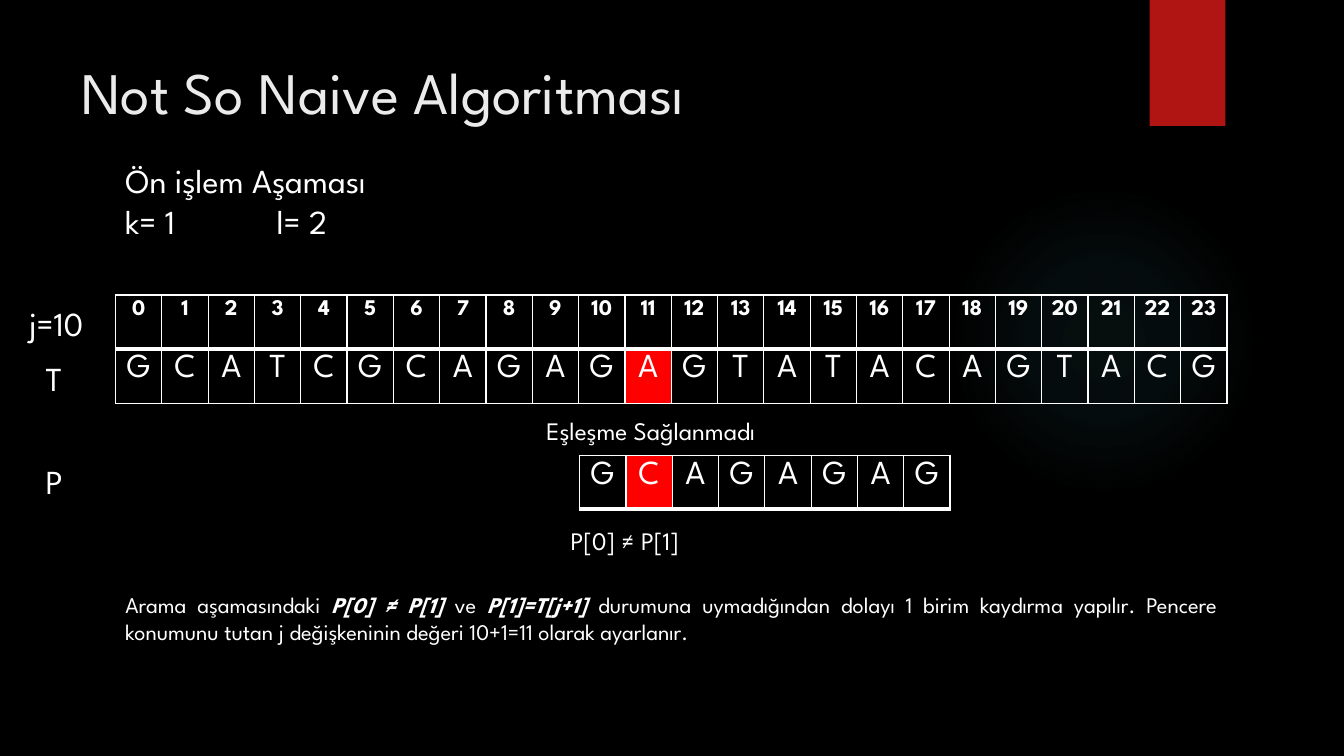
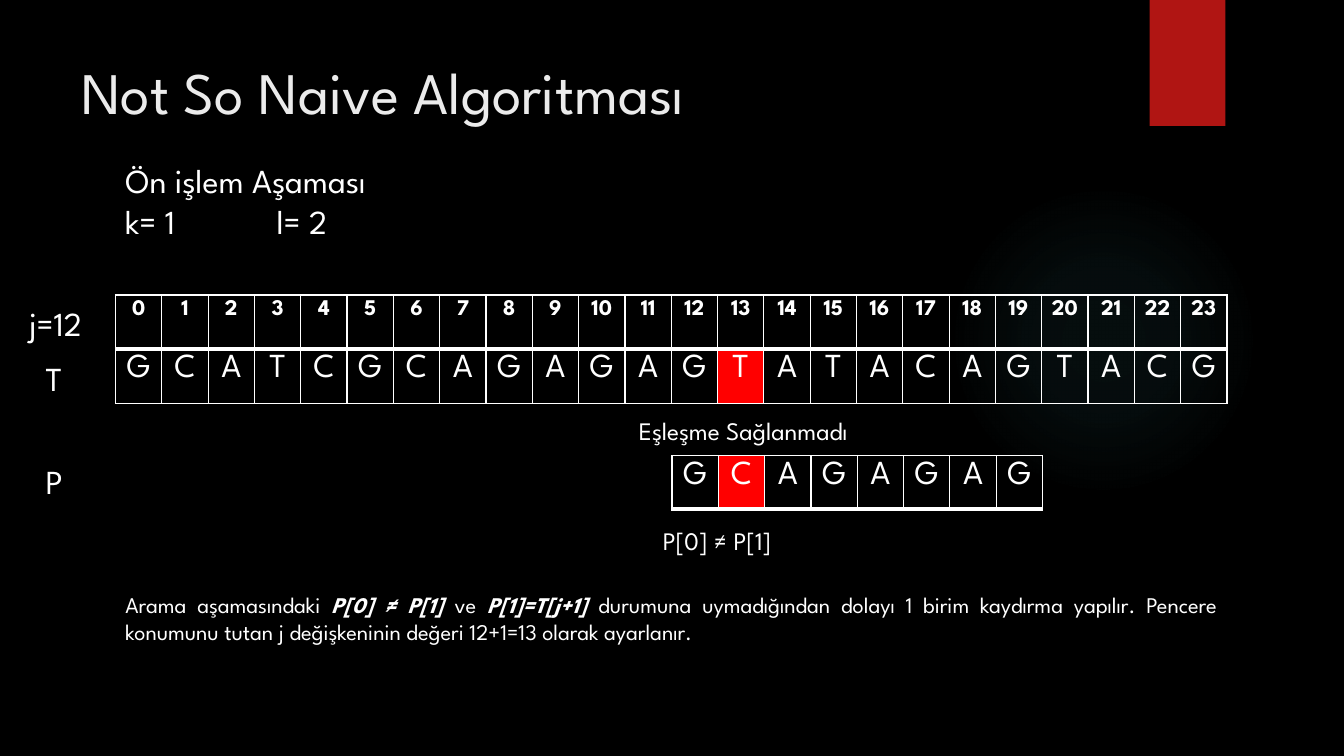
from dataclasses import dataclass

from lxml.etree import SubElement
from pptx import Presentation
from pptx.dml.color import RGBColor
from pptx.enum.shapes import MSO_SHAPE
from pptx.enum.text import PP_ALIGN
from pptx.oxml import parse_xml
from pptx.oxml.ns import nsdecls, qn
from pptx.util import Emu, Pt


@dataclass(frozen=True)
class Theme:
    font: str = "League Spartan"
    background: str = "000000"
    text: str = "FFFFFF"
    title: str = "EBEBEB"
    accent: str = "B01513"
    glow: str = "50B9C1"
    mismatch: str = "FF0000"
    title_size: int = 42
    large: int = 24
    medium: int = 18
    small: int = 16
    thin: int = 1
    thick: int = 3


THEME = Theme()
EMU_PER_PX = 9525
SLIDE_WIDTH, SLIDE_HEIGHT = 1280, 720

TEXT = "GCATCGCAGAGAGTATACAGTACG"
PATTERN = "GCAGAGAG"
TEXT_BOX = (110, 281, 1059, 103)
PATTERN_TOP, PATTERN_HEIGHT = 434, 51
MISMATCH_INDEX = 1


def px(length):
    return Emu(round(length * EMU_PER_PX))


def color(value):
    return RGBColor.from_string(value)


def style_font(paragraph, size, text_color=THEME.text, bold=False):
    font = paragraph.font
    font.name = THEME.font
    font.size = Pt(size)
    font.bold = bold
    font.color.rgb = color(text_color)


def add_text(slide, box, lines, size, text_color=THEME.text):
    """Add a text box; each line is a string or a list of (text, emphasis)."""
    shape = slide.shapes.add_textbox(*map(px, box))
    frame = shape.text_frame
    frame.word_wrap = True
    for index, line in enumerate(lines):
        paragraph = frame.paragraphs[0] if index == 0 else frame.add_paragraph()
        style_font(paragraph, size, text_color)
        pieces = [(line, False)] if isinstance(line, str) else line
        for text, emphasis in pieces:
            run = paragraph.add_run()
            run.text = text
            if emphasis:
                run.font.bold = run.font.italic = True
    return frame.paragraphs


def add_tab_stop(paragraph, position):
    properties = paragraph._p.get_or_add_pPr()
    stops = parse_xml(
        f'<a:tabLst {nsdecls("a")}><a:tab pos="{px(position)}" algn="l"/></a:tabLst>')
    properties.insert(0, stops)


# Slide furniture
def add_glow(slide, box):
    shape = slide.shapes.add_shape(MSO_SHAPE.OVAL, *map(px, box))
    shape.shadow.inherit = False
    shape.line.fill.background()
    stops = "".join(
        f'<a:gs pos="{position * 1000}"><a:srgbClr val="{THEME.glow}">'
        f'<a:alpha val="{alpha * 1000}"/></a:srgbClr></a:gs>'
        for position, alpha in ((0, 7), (36, 6), (69, 0), (100, 0)))
    gradient = parse_xml(
        f'<a:gradFill {nsdecls("a")}><a:gsLst>{stops}</a:gsLst><a:path path="circle">'
        '<a:fillToRect l="50000" t="50000" r="50000" b="50000"/></a:path></a:gradFill>')
    shape._element.spPr.find(qn("a:prstGeom")).addnext(gradient)


def add_ribbon(slide, box):
    shape = slide.shapes.add_shape(MSO_SHAPE.RECTANGLE, *map(px, box))
    shape.shadow.inherit = False
    shape.fill.solid()
    shape.fill.fore_color.rgb = color(THEME.accent)
    shape.line.fill.background()


def add_frame(slide, title):
    fill = slide.background.fill
    fill.solid()
    fill.fore_color.rgb = color(THEME.background)
    add_glow(slide, (903, 176, 296, 296))
    add_ribbon(slide, (1095, 0, 72, 120))
    add_text(slide, (68, 48, 988, 147), [title], THEME.title_size, THEME.title)


# Character tables
def set_borders(cell, bottom):
    properties = cell._tc.get_or_add_tcPr()
    widths = {"lnL": THEME.thin, "lnR": THEME.thin, "lnT": THEME.thin, "lnB": bottom}
    for position, (tag, width) in enumerate(widths.items()):
        line = parse_xml(
            f'<a:{tag} {nsdecls("a")} w="{Pt(width)}"><a:solidFill/></a:{tag}>')
        SubElement(line[0], qn("a:srgbClr"), val=THEME.text)
        properties.insert(position, line)


def add_character_table(slide, box, rows, highlight):
    """Rows are (values, size, bold, bottom border); highlight is (row, column)."""
    left, top, width, height = map(px, box)
    column_count = len(rows[0][0])
    table = slide.shapes.add_table(
        len(rows), column_count, left, top, width, height).table
    table.first_row = table.horz_banding = False
    for column in table.columns:
        column.width = Emu(width // column_count)
    for row_index, (values, size, bold, bottom) in enumerate(rows):
        for column_index, value in enumerate(values):
            cell = table.cell(row_index, column_index)
            cell.margin_left = cell.margin_right = 0
            paragraph = cell.text_frame.paragraphs[0]
            paragraph.text = str(value)
            paragraph.alignment = PP_ALIGN.CENTER
            style_font(paragraph, size, bold=bold)
            if (row_index, column_index) == highlight:
                cell.fill.solid()
                cell.fill.fore_color.rgb = color(THEME.mismatch)
            else:
                cell.fill.background()
            set_borders(cell, bottom)


# Regions of a search step
def add_preprocessing(slide, box):
    lines = add_text(slide, box, ["Ön işlem Aşaması", "k= 1\tl= 2"], THEME.large)
    add_tab_stop(lines[1], 144)


def add_searched_text(slide, box, shift):
    left, top, width, height = box
    add_text(slide, (left - 92, top + 3, 82, 48), [f"j={shift}"], THEME.large)
    add_text(slide, (left - 76, top + 55, 34, 48), ["T"], THEME.large)
    rows = [(range(len(TEXT)), THEME.small, True, THEME.thick),
            (TEXT, THEME.large, False, THEME.thin)]
    add_character_table(slide, box, rows, (1, shift + MISMATCH_INDEX))


def add_pattern(slide, box):
    left, top, width, height = box
    add_text(slide, (34, top, 38, 48), ["P"], THEME.large)
    add_text(slide, (left - 41, top - 43, 259, 38), ["Eşleşme Sağlanmadı"], THEME.medium)
    rows = [(PATTERN, THEME.large, False, THEME.thick)]
    add_character_table(slide, box, rows, (0, MISMATCH_INDEX))
    add_text(slide, (left - 18, top + 62, 136, 38), ["P[0] ≠ P[1]"], THEME.medium)


def add_explanation(slide, box, shift):
    pieces = [
        ("Arama aşamasındaki ", False),
        ("P[0] ≠ P[1] ", True),
        ("ve ", False),
        ("P[1]=T[j+1] ", True),
        ("durumuna uymadığından dolayı 1 birim kaydırma yapılır. Pencere konumunu "
         f"tutan j değişkeninin değeri {shift}+1={shift + 1} olarak ayarlanır.", False),
    ]
    paragraph = add_text(slide, box, [pieces], THEME.small)[0]
    paragraph.alignment = PP_ALIGN.JUSTIFY


def add_search_step(presentation, shift):
    slide = presentation.slides.add_slide(presentation.slide_layouts[6])
    add_frame(slide, "Not So Naive Algoritması")
    left, _, width, _ = TEXT_BOX
    column = width / len(TEXT)
    add_preprocessing(slide, (left, 148, 300, 87))
    add_searched_text(slide, TEXT_BOX, shift)
    pattern_left = round(left + 1 + shift * column)
    add_pattern(slide, (pattern_left, PATTERN_TOP,
                        round(len(PATTERN) * column), PATTERN_HEIGHT))
    add_explanation(slide, (left, 558, width, 61), shift)


def main():
    presentation = Presentation()
    presentation.slide_width = px(SLIDE_WIDTH)
    presentation.slide_height = px(SLIDE_HEIGHT)
    for shift in (10, 12):
        add_search_step(presentation, shift)
    presentation.save("out.pptx")


if __name__ == "__main__":
    main()
